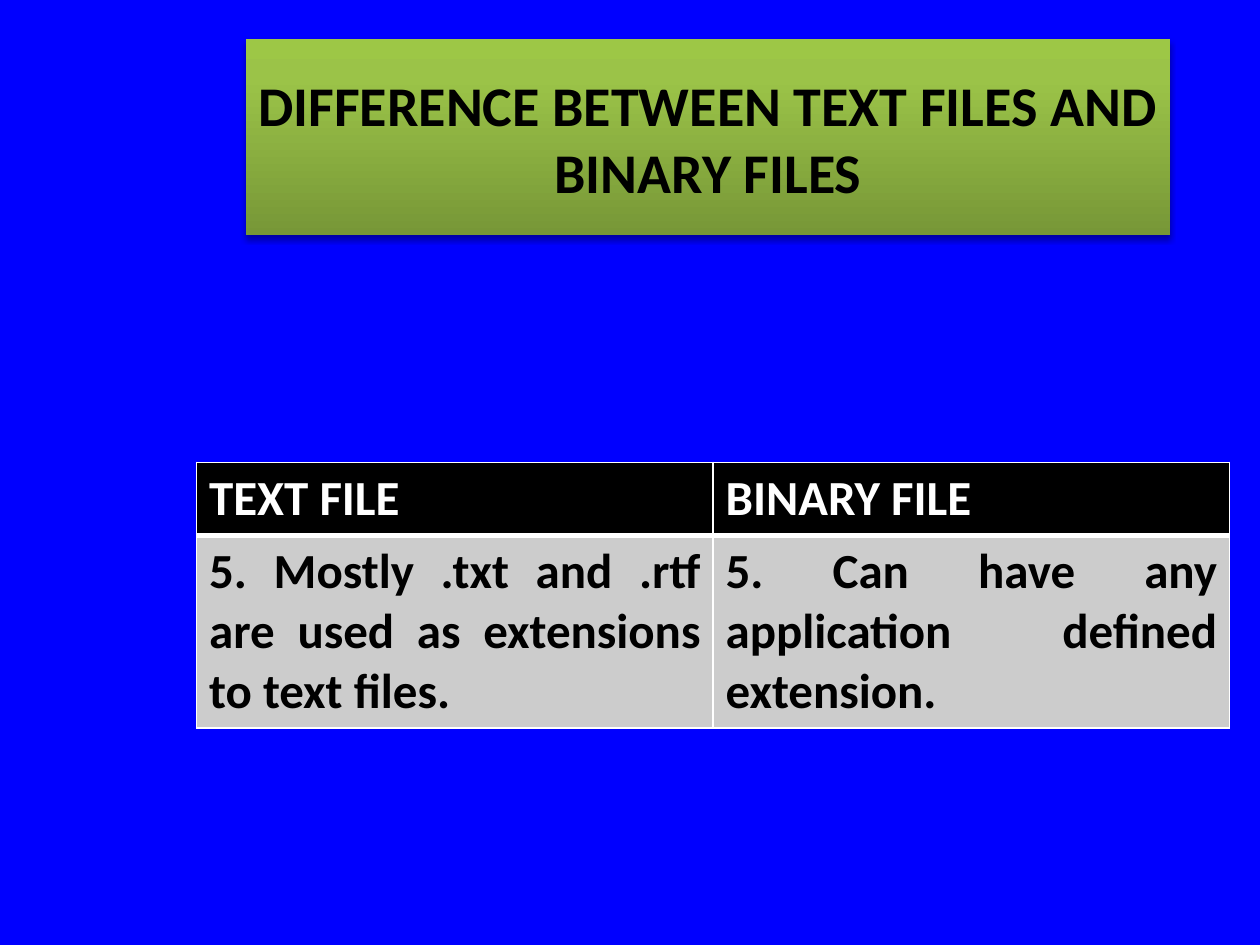
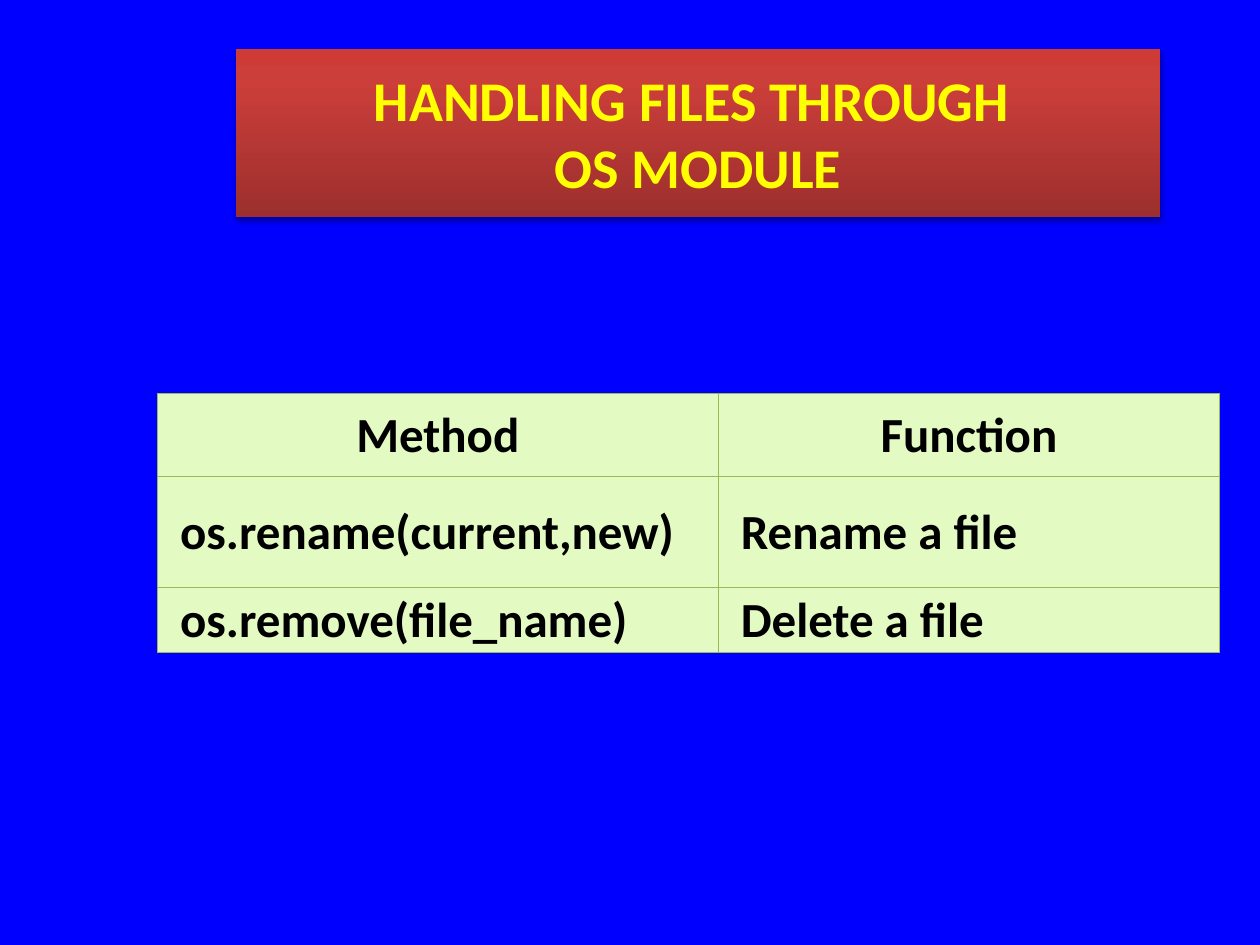
from dataclasses import dataclass

from lxml import etree
from pptx import Presentation
from pptx.dml.color import RGBColor
from pptx.enum import shapes, text
from pptx.oxml import ns
from pptx.slide import Slide
from pptx.table import _Cell
from pptx.util import Inches, Pt

LEFT, CENTER, JUSTIFY = text.PP_ALIGN.LEFT, text.PP_ALIGN.CENTER, text.PP_ALIGN.JUSTIFY
TOP, MIDDLE = text.MSO_ANCHOR.TOP, text.MSO_ANCHOR.MIDDLE


@dataclass(frozen=True)
class Theme:
    font: str = "Calibri"
    title_size: int = 32
    table_size: int = 28
    background: str = "0000FF"
    black: str = "000000"
    white: str = "FFFFFF"
    yellow: str = "FFFF00"
    grey: str = "CCCCCC"
    pale_green: str = "E3FAC3"
    green_line: str = "98B955"
    green_band: tuple[str, ...] = ("779737", "9BC348", "9DC746")
    red_band: tuple[str, ...] = ("9C2F2D", "CB3E3A", "CE3B37")
    band_stops: tuple[int, ...] = (0, 80, 100)


THEME = Theme()


@dataclass(frozen=True)
class Band:
    lines: tuple[str, ...]
    left: float
    top: float
    height: float
    gradient: tuple[str, ...]
    color: str
    width: float = 7.34


@dataclass(frozen=True)
class RowStyle:
    fill: str
    color: str
    align: text.PP_ALIGN
    anchor: text.MSO_ANCHOR
    insets: tuple[float, float, float, float]


@dataclass(frozen=True)
class Grid:
    left: float
    top: float
    widths: tuple[float, ...]
    heights: tuple[float, ...]
    rows: tuple[tuple[str, ...], ...]
    header: RowStyle
    body: RowStyle
    line: str
    line_width: float
    header_line_width: float


@dataclass(frozen=True)
class Page:
    band: Band
    grid: Grid


ROOMY = (0.1, 0.05, 0.1, 0.05)
TIGHT = (0.01, 0.01, 0.01, 0)
INDENTED = (0.18, 0.01, 0.01, 0)

PAGES = (
    Page(
        Band(("DIFFERENCE BETWEEN TEXT FILES AND BINARY FILES",),
             1.95, 0.31, 1.56, THEME.green_band, THEME.black),
        Grid(1.56, 3.67, (4.1, 4.1), (0.58, 1.52),
             (("TEXT FILE", "BINARY FILE"),
              ("5. Mostly .txt and .rtf are used as extensions to text files.",
               "5. Can have any application defined extension.")),
             RowStyle(THEME.black, THEME.white, LEFT, TOP, ROOMY),
             RowStyle(THEME.grey, THEME.black, JUSTIFY, TOP, ROOMY),
             THEME.white, 1, 3),
    ),
    Page(
        Band(("HANDLING FILES THROUGH ", "OS MODULE"),
             1.87, 0.39, 1.33, THEME.red_band, THEME.yellow),
        Grid(1.25, 3.12, (4.45, 3.98), (0.66, 0.88, 0.52),
             (("Method", "Function"),
              ("os.rename(current,new)", "Rename a file"),
              ("os.remove(file_name)", "Delete a file")),
             RowStyle(THEME.pale_green, THEME.black, CENTER, MIDDLE, TIGHT),
             RowStyle(THEME.pale_green, THEME.black, LEFT, MIDDLE, INDENTED),
             THEME.green_line, 0.75, 0.75),
    ),
)


def add_node(parent: etree._Element, tag: str, **attrs: object) -> etree._Element:
    return etree.SubElement(parent, ns.qn(tag), {k: str(v) for k, v in attrs.items()})


def write_text(tf, lines: tuple[str, ...], size: int, color: str, align: text.PP_ALIGN) -> None:
    tf.text = "\n".join(lines)
    tf.word_wrap = True
    for p in tf.paragraphs:
        p.alignment = align
        for r in p.runs:
            r.font.name = THEME.font
            r.font.size = Pt(size)
            r.font.bold = True
            r.font.color.rgb = RGBColor.from_string(color)


def add_band(s: Slide, band: Band) -> None:
    sp = s.shapes.add_shape(shapes.MSO_SHAPE.RECTANGLE, Inches(band.left), Inches(band.top),
                            Inches(band.width), Inches(band.height))
    sp.line.fill.background()
    sp.fill.gradient()
    sp.fill.gradient_angle = 90
    stops = sp.element.spPr.find(".//" + ns.qn("a:gsLst"))
    for stop in list(stops):
        stops.remove(stop)
    for pos, color in zip(THEME.band_stops, band.gradient):
        add_node(add_node(stops, "a:gs", pos=pos * 1000), "a:srgbClr", val=color)
    sp.shadow.inherit = False
    effects = sp.element.spPr.find(ns.qn("a:effectLst"))
    shadow = add_node(effects, "a:outerShdw", blurRad=Pt(3.1), dist=Pt(1.8),
                      dir=5400000, rotWithShape=0)
    add_node(add_node(shadow, "a:srgbClr", val=THEME.black), "a:alpha", val=35000)
    sp.text_frame.vertical_anchor = MIDDLE
    write_text(sp.text_frame, band.lines, THEME.title_size, band.color, CENTER)


def set_borders(cell: _Cell, color: str, widths: dict[str, float]) -> None:
    props = cell._tc.get_or_add_tcPr()
    for i, (side, width) in enumerate(widths.items()):
        ln = add_node(props, f"a:ln{side}", w=Pt(width))
        add_node(add_node(ln, "a:solidFill"), "a:srgbClr", val=color)
        props.insert(i, ln)


def add_grid(s: Slide, grid: Grid) -> None:
    table = s.shapes.add_table(len(grid.rows), len(grid.widths), Inches(grid.left),
                               Inches(grid.top), Inches(sum(grid.widths)),
                               Inches(sum(grid.heights))).table
    table.horz_banding = False
    for column, width in zip(table.columns, grid.widths):
        column.width = Inches(width)
    for i, (row, height, values) in enumerate(zip(table.rows, grid.heights, grid.rows)):
        row.height = Inches(height)
        style = grid.header if i == 0 else grid.body
        widths = dict.fromkeys("LRTB", grid.line_width)
        if i < 2:
            widths["B" if i == 0 else "T"] = grid.header_line_width
        for cell, value in zip(row.cells, values):
            cell.fill.solid()
            cell.fill.fore_color.rgb = RGBColor.from_string(style.fill)
            cell.vertical_anchor = style.anchor
            (cell.margin_left, cell.margin_top,
             cell.margin_right, cell.margin_bottom) = map(Inches, style.insets)
            write_text(cell.text_frame, (value,), THEME.table_size, style.color, style.align)
            set_borders(cell, grid.line, widths)


def main() -> None:
    prs = Presentation()
    prs.slide_width, prs.slide_height = Inches(10), Inches(7.5)
    for page in PAGES:
        s = prs.slides.add_slide(prs.slide_layouts[6])
        s.background.fill.solid()
        s.background.fill.fore_color.rgb = RGBColor.from_string(THEME.background)
        add_band(s, page.band)
        add_grid(s, page.grid)
    prs.save("out.pptx")


if __name__ == "__main__":
    main()
